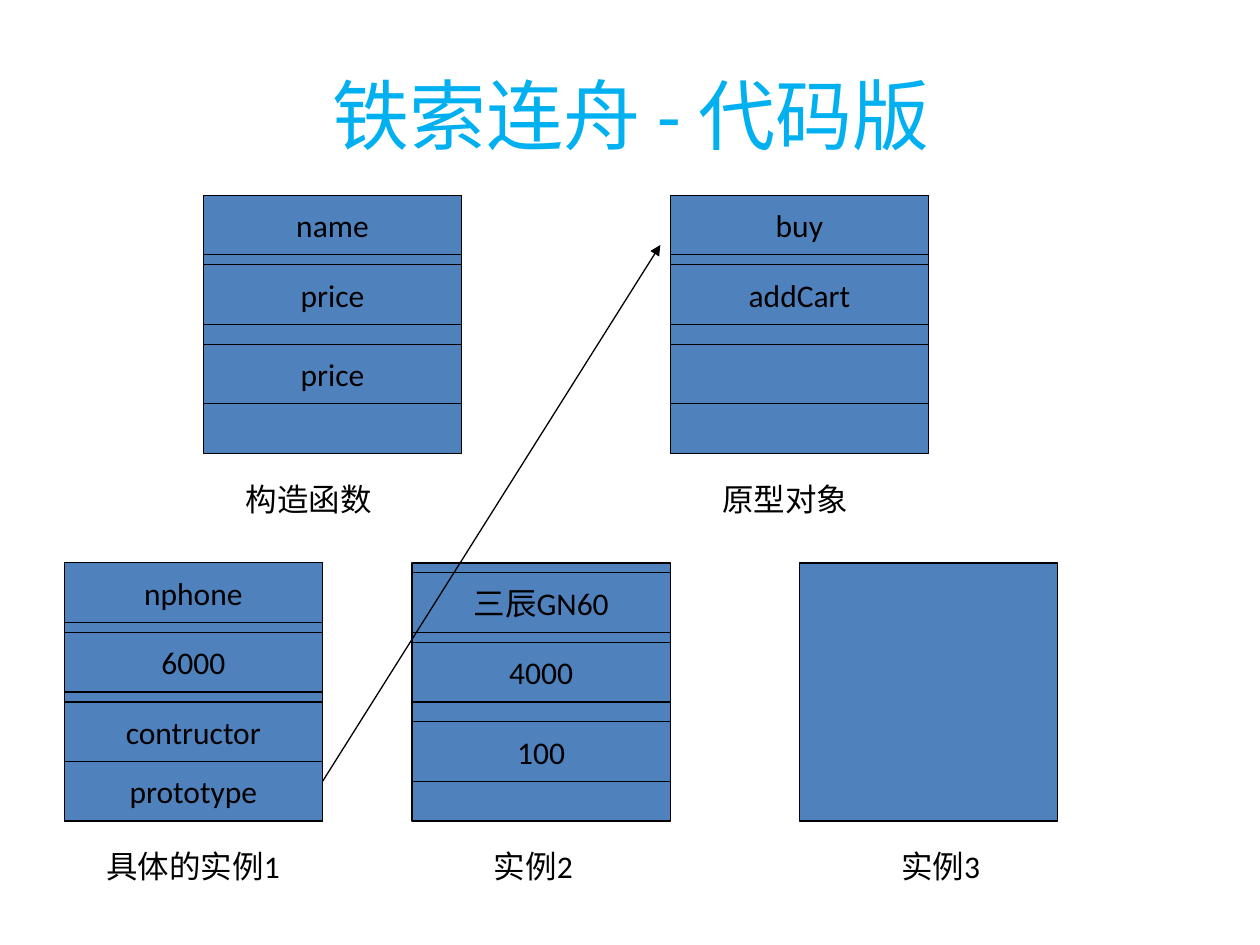
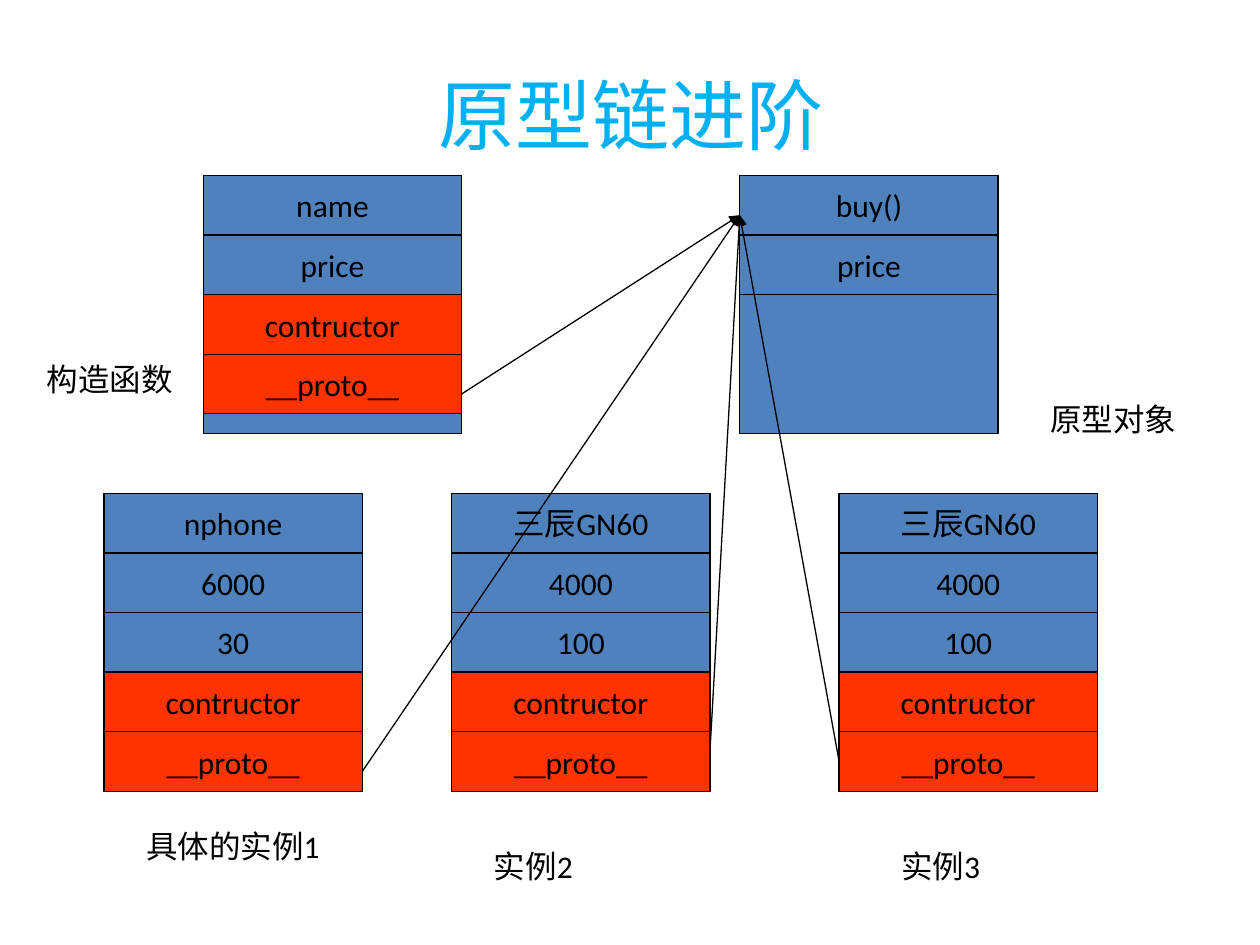
from lxml import etree
from pptx import Presentation
from pptx import util as u
from pptx.dml.color import RGBColor
from pptx.enum import shapes, text
from pptx.oxml import ns

BLUE = RGBColor(0x4F, 0x81, 0xBD)
RED = RGBColor(0xFF, 0x33, 0x00)
SKY = RGBColor(0x00, 0xB0, 0xF0)
BLACK = RGBColor(0, 0, 0)
FONT = "Calibri"

# Drawing grid: columns and rows count from the upper left corner of the diagram
ORIGIN_X, ORIGIN_Y = 0.51, 1.55
STEP = 2.05 / 26
CARD = 26       # side of a card
FIELD = 6       # height of a field
CAPTION = 5     # height of a caption
LEFT_SIDE = 1
CHAIN_FIELDS = ("contructor", "__proto__")


def x(col):
    return u.Inches(ORIGIN_X + col * STEP)


def y(row):
    return u.Inches(ORIGIN_Y + row * STEP)


def span(steps):
    return u.Inches(steps * STEP)


def write(frame, words, size, color, align):
    paragraph = frame.paragraphs[0]
    paragraph.alignment = align
    run = paragraph.add_run()
    run.text = words
    run.font.name, run.font.size = FONT, u.Pt(size)
    run.font.color.rgb = color


def add_title(slide, words):
    title = slide.shapes.add_textbox(
        u.Inches(ORIGIN_X), u.Inches(0.28), u.Inches(9), u.Inches(1.25))
    frame = title.text_frame
    frame.word_wrap = True
    frame.vertical_anchor = text.MSO_ANCHOR.MIDDLE
    write(frame, words, 44, SKY, text.PP_ALIGN.CENTER)


def add_caption(slide, col, row, words, width):
    caption = slide.shapes.add_textbox(x(col), y(row), span(width), span(CAPTION))
    caption.text_frame.word_wrap = True
    write(caption.text_frame, words, 18, BLACK, text.PP_ALIGN.LEFT)


def add_box(slide, col, row, height, fill, words=""):
    box = slide.shapes.add_shape(
        shapes.MSO_SHAPE.RECTANGLE, x(col), y(row), span(CARD), span(height))
    box.shadow.inherit = False
    box.fill.solid()
    box.fill.fore_color.rgb = fill
    box.line.color.rgb = BLACK
    box.line.width = u.Pt(0.75)
    if words:
        frame = box.text_frame
        frame.word_wrap = False
        frame.vertical_anchor = text.MSO_ANCHOR.MIDDLE
        write(frame, words, 18, BLACK, text.PP_ALIGN.CENTER)
    return box


def add_card(slide, col, row, fields, offsets, marked=()):
    """Draw an object with its fields at row offsets; return the field boxes."""
    add_box(slide, col, row, CARD, BLUE)
    return [add_box(slide, col, row + offset, FIELD,
                    RED if field in marked else BLUE, field)
            for field, offset in zip(fields, offsets)]


def add_arrow(slide, start, end):
    arrow = slide.shapes.add_connector(
        shapes.MSO_CONNECTOR.STRAIGHT,
        x(start[0]), y(start[1]), x(end[0]), y(end[1]))
    arrow.line.color.rgb = BLACK
    arrow.line.width = u.Pt(0.75)
    etree.SubElement(arrow.line._get_or_add_ln(), ns.qn("a:tailEnd"), type="triangle")
    etree.SubElement(arrow._element.spPr, ns.qn("a:effectLst"))
    return arrow


def build_code_version(slide):
    add_title(slide, "铁索连舟 - 代码版")

    # Constructor and prototype above, instances below
    for col, row, fields, offsets in (
            (14, 0, ("name", "price", "price"), (0, 7, 15)),
            (61, 0, ("buy", "addCart", ""), (0, 7, 15)),
            (0, 37, ("nphone", "6000", "contructor", "prototype"), (0, 7, 14, 20)),
            (35, 37, ("三辰GN60", "4000", "100"), (1, 8, 16)),
            (74, 37, (), ())):
        add_card(slide, col, row, fields, offsets)

    for caption in ((17, 28, "构造函数", 17), (65, 28, "原型对象", 17),
                    (3, 65, "具体的实例1", 23), (42, 65, "实例2", 14),
                    (83, 65, "实例3", 14)):
        add_caption(slide, *caption)

    add_arrow(slide, (26, 59), (60, 5))


def build_prototype_chain(slide):
    add_title(slide, "原型链进阶")

    # Fields are stacked without gaps
    phone = ("三辰GN60", "4000", "100") + CHAIN_FIELDS
    cards = [add_card(slide, col, row, fields,
                      range(0, FIELD * len(fields), FIELD), CHAIN_FIELDS)
             for col, row, fields in (
                 (14, -2, ("name", "price") + CHAIN_FIELDS),
                 (68, -2, ("buy()", "price")),
                 (4, 30, ("nphone", "6000", "30") + CHAIN_FIELDS),
                 (39, 30, phone),
                 (78, 30, phone))]

    for caption in ((-3, 16, "构造函数", 16), (98, 20, "原型对象", 17),
                    (7, 63, "具体的实例1", 23), (42, 65, "实例2", 14),
                    (83, 65, "实例3", 14)):
        add_caption(slide, *caption)

    # Every __proto__ points at the prototype
    arrows = [add_arrow(slide, start, (68, 2))
              for start in ((40, 20), (30, 58), (65, 56), (78, 57))]
    arrows[-1].begin_connect(cards[-1][-1], LEFT_SIDE)


def main():
    deck = Presentation()
    deck.slide_width, deck.slide_height = u.Inches(10), u.Inches(7.5)
    blank = deck.slide_layouts[6]
    for build in (build_code_version, build_prototype_chain):
        build(deck.slides.add_slide(blank))
    deck.save("out.pptx")


if __name__ == "__main__":
    main()
